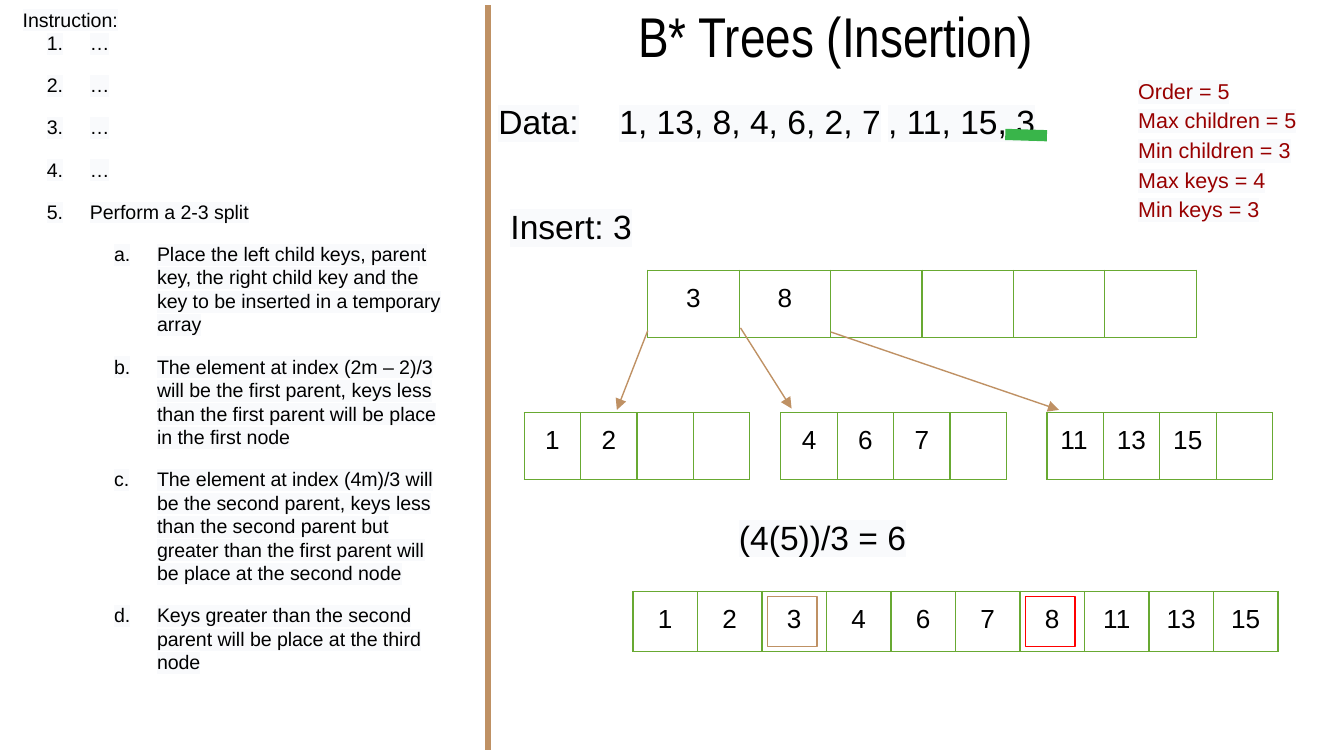
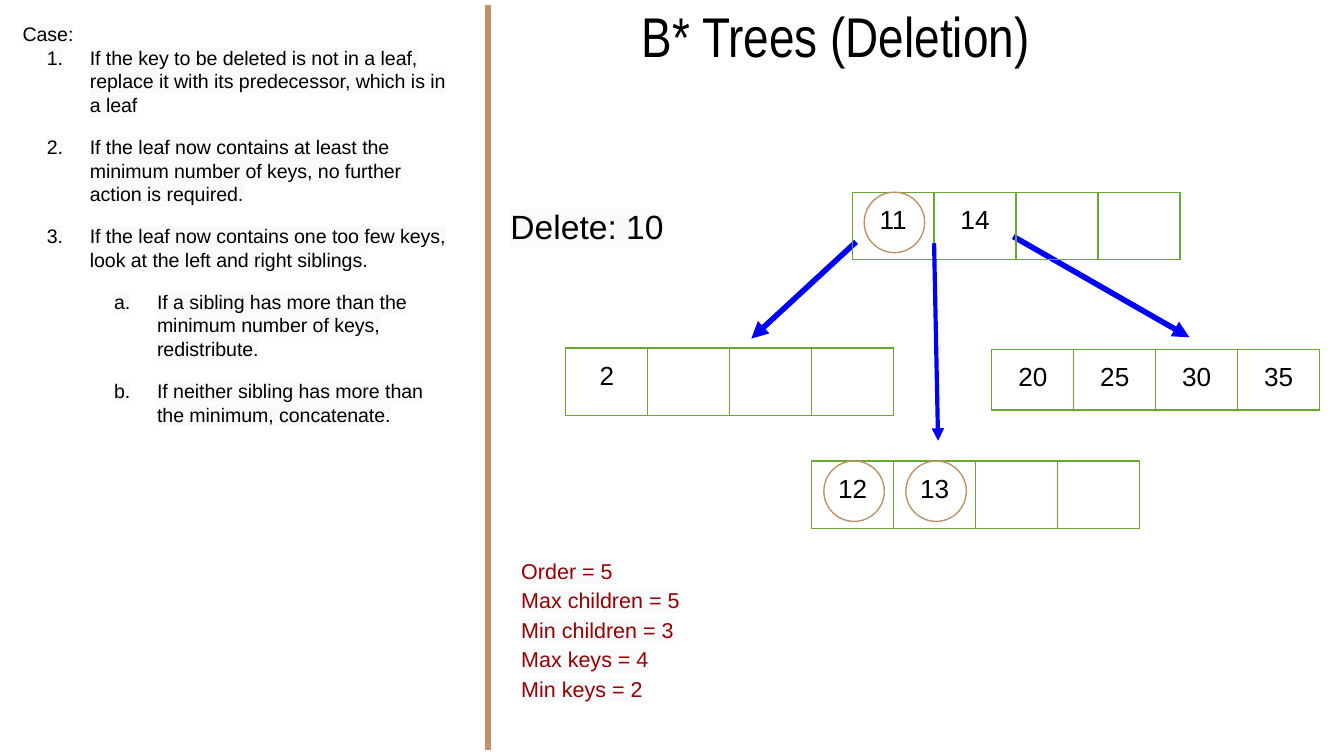
from lxml.etree import SubElement
from pptx import Presentation
from pptx.dml.color import RGBColor
from pptx.enum.shapes import MSO_CONNECTOR, MSO_SHAPE
from pptx.enum.text import MSO_ANCHOR, MSO_AUTO_SIZE, PP_ALIGN
from pptx.oxml.ns import qn
from pptx.util import Inches, Pt

# Shared look
SLIDE_WIDTH = 10
SLIDE_HEIGHT = SLIDE_WIDTH * 9 / 16
BLACK, TAN, GREEN = "000000", "BF9164", "68A932"
MARKER_GREEN, RED, BLUE = "39B54A", "FF0000", "0000FF"
DARK_RED, HIGHLIGHT = "980000", "F9FAFC"
TITLE = {"name": "Arial Narrow", "size": Pt(30), "bold": False}
HEADING = {"name": "Arial", "size": Pt(18)}
STEP = {"name": "Arial", "size": Pt(10.5)}
LIMIT = {"name": "Arial", "size": Pt(11.5)}
KEY = {"name": "Arial", "size": Pt(14), "bold": False}
FRAME = {
    "margin_left": Inches(0.1), "margin_right": Inches(0.1),
    "margin_top": Inches(0.1), "margin_bottom": Inches(0.1),
}
NUMBERING = {0: (0.5, "arabicPeriod"), 1: (1, "alphaLcPeriod")}
ROW_HEIGHT = 0.45


def rgb(value):
    return RGBColor.from_string(value)


def apply(target, values):
    for name, value in values.items():
        setattr(target, name, value)


def add_color(parent, tag, value):
    SubElement(SubElement(parent, qn(tag)), qn("a:srgbClr"), val=value)


def write_run(paragraph, text, style, color=BLACK, highlighted=True):
    run = paragraph.add_run()
    run.text = text
    apply(run.font, style)
    run.font.color.rgb = rgb(color)
    if highlighted:
        properties = run.font._element
        add_color(properties, "a:highlight", HIGHLIGHT)
        properties.find(qn("a:latin")).addprevious(properties[-1])


def add_frame(slide, box):
    frame = slide.shapes.add_textbox(*map(Inches, box)).text_frame
    apply(frame, FRAME | {"word_wrap": True})
    return frame


def add_line(slide, start, end, color, width, arrow=False):
    line = slide.shapes.add_connector(
        MSO_CONNECTOR.STRAIGHT, *map(Inches, start + end))
    line.line.color.rgb = rgb(color)
    line.line.width = Pt(width)
    properties = line._element.spPr
    if arrow:
        SubElement(properties.find(qn("a:ln")), qn("a:tailEnd"), type="triangle")
    SubElement(properties, qn("a:effectLst"))


# Title and the divider between steps and diagram
def start_slide(deck, heading):
    slide = deck.slides.add_slide(deck.slide_layouts[5])
    title = slide.shapes.title
    apply(title, {"left": Inches(2.62), "top": Inches(0),
                  "width": Inches(7.2), "height": Inches(0.53)})
    apply(title.text_frame, FRAME | {
        "word_wrap": True, "auto_size": MSO_AUTO_SIZE.NONE,
        "vertical_anchor": MSO_ANCHOR.MIDDLE})
    paragraph = title.text_frame.paragraphs[0]
    paragraph.alignment = PP_ALIGN.CENTER
    write_run(paragraph, heading, TITLE, highlighted=False)
    add_line(slide, (3.63, 0.04), (3.63, 5.58), TAN, 3)
    return slide


def add_heading(slide, box, text):
    paragraph = add_frame(slide, box).paragraphs[0]
    apply(paragraph, {"line_spacing": 1.15, "space_after": Pt(16)})
    write_run(paragraph, text, HEADING)


# Numbered steps on the left, as (level, text)
def add_steps(slide, top, intro, steps):
    frame = add_frame(slide, (0.07, top, 3.35, 4.92))
    frame.paragraphs[0].line_spacing = 1.15
    write_run(frame.paragraphs[0], intro, STEP)
    for index, (level, text) in enumerate(steps):
        paragraph = frame.add_paragraph()
        paragraph.level = level
        paragraph.space_before = Pt(10 if index else 0)
        indent, scheme = NUMBERING[level]
        properties = paragraph._p.get_or_add_pPr()
        properties.set("marL", str(Inches(indent)))
        properties.set("indent", str(Inches(-0.32)))
        add_color(properties, "a:buClr", BLACK)
        SubElement(properties, qn("a:buAutoNum"), type=scheme)
        write_run(paragraph, text, STEP)


# Limits that follow from the tree's order
def add_limits(slide, left, top, min_keys):
    frame = add_frame(slide, (left, top, 3.28, 1.29))
    frame.auto_size = MSO_AUTO_SIZE.SHAPE_TO_FIT_TEXT
    limits = {"Order": 5, "Max children": 5, "Min children": 3,
              "Max keys": 4, "Min keys": min_keys}
    for index, (name, value) in enumerate(limits.items()):
        paragraph = frame.add_paragraph() if index else frame.paragraphs[0]
        paragraph.line_spacing = 1.15
        write_run(paragraph, f"{name} = {value}", LIMIT, DARK_RED)


def add_borders(cell):
    properties = cell._tc.get_or_add_tcPr()
    for position, side in enumerate(("a:lnL", "a:lnR", "a:lnT", "a:lnB")):
        border = SubElement(properties, qn(side), w=str(Pt(0.75)))
        add_color(border, "a:solidFill", GREEN)
        properties.insert(position, border)


# A node or array: one row of keys, then empty slots
def add_node(slide, left, top, slot, slots, keys, align=PP_ALIGN.CENTER):
    table = slide.shapes.add_table(
        1, slots, Inches(left), Inches(top),
        Inches(slot * slots), Inches(ROW_HEIGHT)).table
    apply(table, {"first_row": False, "horz_banding": False})
    table.rows[0].height = Inches(ROW_HEIGHT)
    for column in table.columns:
        column.width = Inches(slot)
    for index, cell in enumerate(table.iter_cells()):
        apply(cell, FRAME)
        cell.fill.background()
        add_borders(cell)
        if index < len(keys):
            paragraph = cell.text_frame.paragraphs[0]
            paragraph.alignment = align
            write_run(paragraph, str(keys[index]), KEY, highlighted=False)


# Outline around one key of a node
def mark_key(slide, node_left, node_top, slot, index, kind, size, inset, color):
    left = node_left + index * slot + inset[0]
    mark = slide.shapes.add_shape(
        kind, Inches(left), Inches(node_top + inset[1]), Inches(size), Inches(size))
    mark.shadow.inherit = False
    mark.fill.background()
    mark.line.color.rgb = rgb(color)
    mark.line.width = Pt(0.75)


def build_insertion(deck):
    slide = start_slide(deck, "B* Trees (Insertion)")
    add_steps(slide, -0.07, "Instruction:", [(0, "…")] * 4 + [
        (0, "Perform a 2-3 split"),
        (1, "Place the left child keys, parent key, the right child key and "
            "the key to be inserted in a temporary array"),
        (1, "The element at index (2m – 2)/3 will be the first parent, keys less "
            "than the first parent will be place in the first node"),
        (1, "The element at index (4m)/3 will be the second parent, keys less than "
            "the second parent but greater than the first parent will be place "
            "at the second node"),
        (1, "Keys greater than the second parent will be place at the third node"),
    ])
    # Data being inserted
    add_heading(slide, (4.51, 0.61, 3.98, 0.53), "1, 13, 8, 4, 6, 2, 7\t, 11, 15, 3")
    add_heading(slide, (3.61, 0.61, 0.99, 0.53), "Data:")
    add_heading(slide, (3.7, 1.39, 1.47, 0.53), "Insert: 3")
    add_line(slide, (7.48, 1), (7.79, 1.01), MARKER_GREEN, 6)
    add_limits(slide, 8.37, 0.45, 3)
    # Tree
    add_node(slide, 4.82, 2.01, 0.68, 6, [3, 8])
    add_node(slide, 3.9, 3.07, 0.42, 4, [1, 2])
    add_node(slide, 5.81, 3.07, 0.42, 4, [4, 6, 7])
    add_node(slide, 7.79, 3.07, 0.42, 4, [11, 13, 15], PP_ALIGN.LEFT)
    for start, end in (((4.82, 2.46), (4.59, 3.05)),
                       ((5.51, 2.44), (5.89, 3.04)),
                       ((6.18, 2.47), (7.88, 3.05))):
        add_line(slide, start, end, TAN, 0.75, arrow=True)
    # Temporary array with the two parents marked
    add_heading(slide, (5.4, 3.7, 3.98, 0.53), "(4(5))/3 = 6")
    array = (4.71, 4.4, 0.48)
    add_node(slide, *array, 10, [1, 2, 3, 4, 6, 7, 8, 11, 13, 15])
    for index, color in ((2, TAN), (6, RED)):
        mark_key(slide, *array, index, MSO_SHAPE.RECTANGLE, 0.37, (0.04, 0.04), color)


def build_deletion(deck):
    slide = start_slide(deck, "B* Trees (Deletion)")
    add_steps(slide, 0.04, "Case:", [
        (0, "If the key to be deleted is not in a leaf, replace it with its "
            "predecessor, which is in a leaf"),
        (0, "If the leaf now contains at least the minimum number of keys, "
            "no further action is required."),
        (0, "If the leaf now contains one too few keys, look at the left "
            "and right siblings."),
        (1, "If a sibling has more than the minimum number of keys, redistribute."),
        (1, "If neither sibling has more than the minimum, concatenate."),
    ])
    add_heading(slide, (3.7, 1.39, 1.47, 0.53), "Delete: 10")
    add_limits(slide, 3.78, 4.02, 2)
    # Tree, with the outer arrows behind the root and the middle one in front
    for start, end in (((6.37, 1.8), (5.59, 2.52)), ((7.54, 1.76), (8.85, 2.51))):
        add_line(slide, start, end, BLUE, 3, arrow=True)
    root, middle = (6.34, 1.43, 0.61), (6.04, 3.43, 0.61)
    add_node(slide, *root, 4, [11, 14])
    add_node(slide, 4.21, 2.59, 0.61, 4, [2])
    add_node(slide, *middle, 4, [12, 13])
    add_node(slide, 7.38, 2.6, 0.61, 4, [20, 25, 30, 35])
    add_line(slide, (6.95, 1.81), (6.98, 3.28), BLUE, 2.25, arrow=True)
    for node, index in ((middle, 0), (middle, 1), (root, 0)):
        mark_key(slide, *node, index, MSO_SHAPE.OVAL, 0.45, (0.09, 0), TAN)


def main():
    deck = Presentation()
    apply(deck, {"slide_width": Inches(SLIDE_WIDTH),
                 "slide_height": Inches(SLIDE_HEIGHT)})
    build_insertion(deck)
    build_deletion(deck)
    deck.save("out.pptx")


if __name__ == "__main__":
    main()
